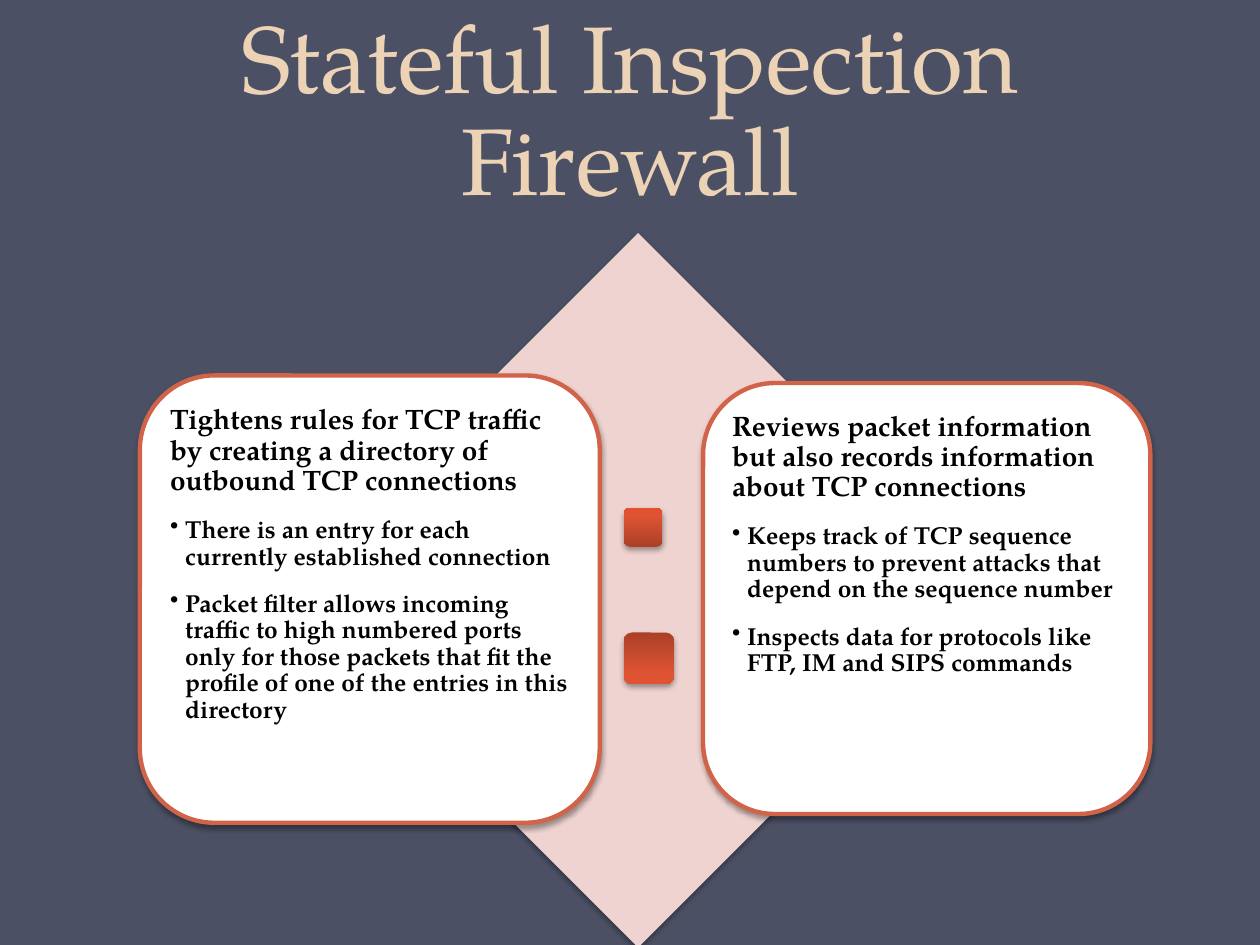
from lxml.etree import SubElement
from pptx import Presentation
from pptx.dml.color import RGBColor
from pptx.enum.shapes import MSO_SHAPE
from pptx.enum.text import MSO_ANCHOR, PP_ALIGN
from pptx.oxml.ns import qn
from pptx.util import Inches, Pt

FONT = "TeX Gyre Pagella"
COLORS = {
    "background": "4B5064",
    "title": "EDD3B6",
    "diamond": "EED3D0",
    "panel": "FFFFFF",
    "border": "D16349",
    "text": "000000",
    "shadow": "000000",
}
TILE_STOPS = [(0, "AB4027"), (80, "DE5433"), (100, "E35230")]
PANEL_PAD = 0.17
BULLET_INDENT = 0.12

PANELS = [
    ((1.11, 2.98, 3.65, 3.55), 0.07,
     "Tightens rules for TCP traffic by creating a directory of outbound TCP connections",
     ["There is an entry for each currently established connection",
      "Packet filter allows incoming traffic to high numbered ports only for those "
      "packets that fit the profile of one of the entries in this directory"]),
    ((5.58, 3.04, 3.55, 3.42), 0.06,
     "Reviews packet information but also records information about TCP connections",
     ["Keeps track of TCP sequence numbers to prevent attacks that depend on the "
      "sequence number",
      "Inspects data for protocols like FTP, IM and SIPS commands"]),
]


def rgb(name):
    return RGBColor.from_string(COLORS[name])


def add_shadow(sp):
    """Give the shape a soft shadow straight below it."""
    sp.shadow.inherit = False
    effects = sp._element.spPr.find(qn("a:effectLst"))
    shadow = SubElement(effects, qn("a:outerShdw"), blurRad=str(Pt(3.1)),
                        dist=str(Pt(1.8)), dir="5400000", rotWithShape="0")
    color = SubElement(shadow, qn("a:srgbClr"), val=COLORS["shadow"])
    SubElement(color, qn("a:alpha"), val="35000")


def add_block(slide, kind, box, fill=None, border=None):
    sp = slide.shapes.add_shape(kind, *map(Inches, box))
    if fill:
        sp.fill.solid()
        sp.fill.fore_color.rgb = rgb(fill)
    if border:
        sp.line.color.rgb = rgb(border)
        sp.line.width = Pt(2.5)
    else:
        sp.line.fill.background()
    add_shadow(sp)
    return sp


def add_tile(slide, box, flipped=False):
    """Add a small rounded square with a vertical gradient."""
    sp = add_block(slide, MSO_SHAPE.ROUNDED_RECTANGLE, box)
    sp.fill.gradient()
    sp.fill.gradient_angle = 90
    stops = sp._element.spPr.find(qn("a:gradFill")).find(qn("a:gsLst"))
    stops.clear()
    for percent, color in TILE_STOPS:
        stop = SubElement(stops, qn("a:gs"), pos=str(percent * 1000))
        SubElement(stop, qn("a:srgbClr"), val=color)
    if flipped:
        sp._element.spPr.find(qn("a:xfrm")).set("flipV", "1")


def add_text_box(slide, box, margins=(0.1, 0.05), anchor=MSO_ANCHOR.TOP):
    tf = slide.shapes.add_textbox(*map(Inches, box)).text_frame
    tf.word_wrap = True
    tf.vertical_anchor = anchor
    tf.margin_left = tf.margin_right = Inches(margins[0])
    tf.margin_top = tf.margin_bottom = Inches(margins[1])
    return tf


def write(tf, text, size, color="text", bold=False, align=PP_ALIGN.LEFT,
          spacing=0.9, after=0, bullet=False):
    """Write one paragraph, using the frame's empty first one if it is free."""
    p = tf.paragraphs[0]
    if p.runs:
        p = tf.add_paragraph()
    if bullet:
        p.level = 1
        pPr = p._p.get_or_add_pPr()
        pPr.set("marL", str(Inches(BULLET_INDENT)))
        pPr.set("indent", str(-Inches(BULLET_INDENT)))
        SubElement(pPr, qn("a:buChar"), char="•")
    p.alignment = align
    p.line_spacing = spacing
    p.space_after = Pt(after)
    r = p.add_run()
    r.text = text
    r.font.name = FONT
    r.font.size = Pt(size)
    r.font.bold = bold
    r.font.color.rgb = rgb(color)


def add_panel(slide, box, margin, heading, points):
    add_block(slide, MSO_SHAPE.ROUNDED_RECTANGLE, box, "panel", "border")
    left, top, width, height = box
    inner = (left + PANEL_PAD, top + PANEL_PAD,
             width - 2 * PANEL_PAD, height - 2 * PANEL_PAD)
    tf = add_text_box(slide, inner, (margin, margin))
    write(tf, heading, 16, bold=True, after=12)
    for point in points:
        write(tf, point, 14, bold=True, after=12, bullet=True)


def main():
    prs = Presentation()
    prs.slide_width, prs.slide_height = Inches(10), Inches(7.5)
    slide = prs.slides.add_slide(prs.slide_layouts[6])
    slide.background.fill.solid()
    slide.background.fill.fore_color.rgb = rgb("background")

    title = add_text_box(slide, (0.5, 0, 9, 1.75), anchor=MSO_ANCHOR.BOTTOM)
    write(title, "Stateful Inspection Firewall", 54, "title",
          align=PP_ALIGN.CENTER, spacing=Pt(58))

    add_block(slide, MSO_SHAPE.DIAMOND, (2.23, 1.85, 5.67, 5.67), "diamond")
    for panel in PANELS:
        add_panel(slide, *panel)
    add_tile(slide, (4.95, 4.03, 0.31, 0.31))
    add_tile(slide, (4.95, 5.02, 0.4, 0.41), flipped=True)

    prs.save("out.pptx")


if __name__ == "__main__":
    main()
